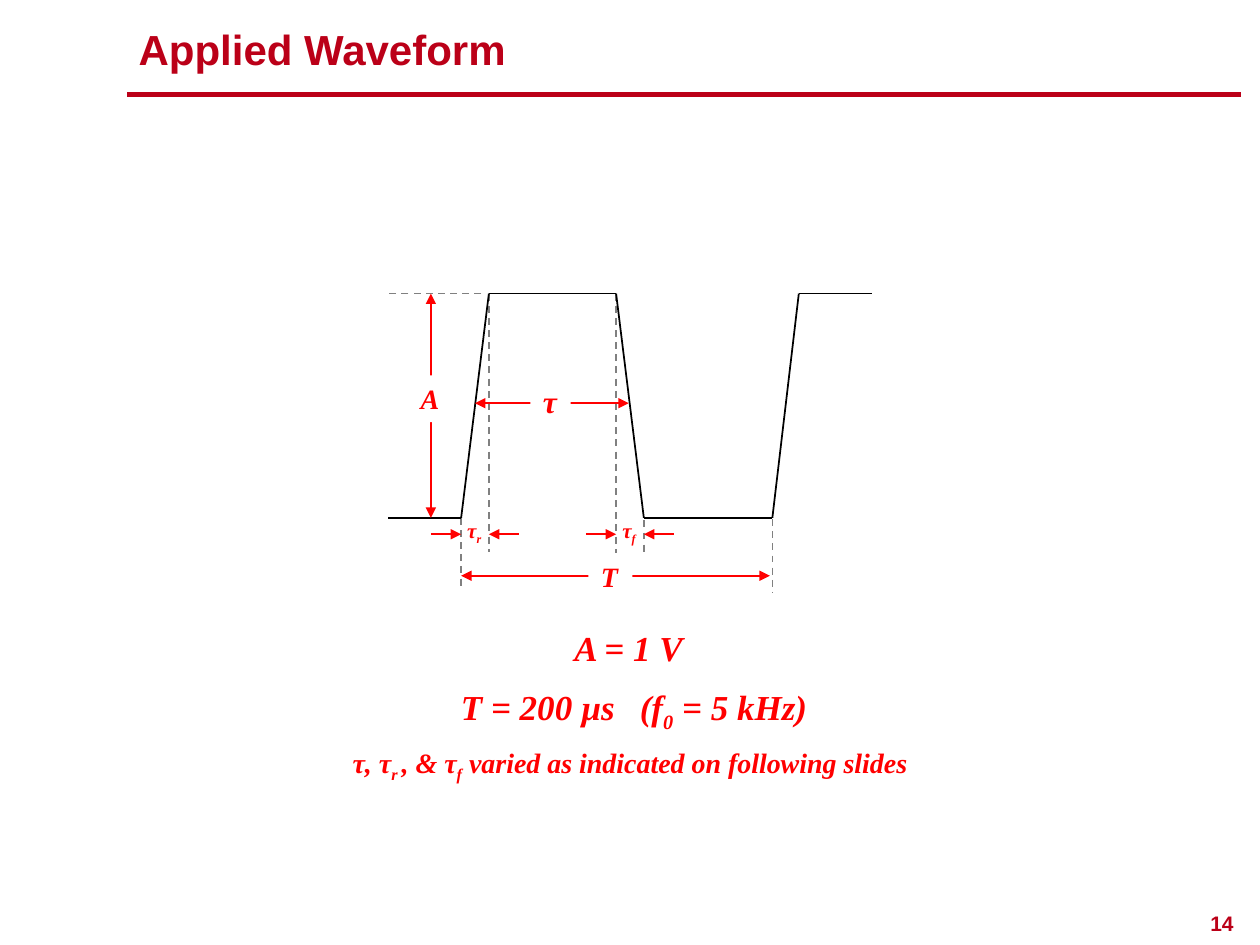
from itertools import pairwise

from lxml.etree import SubElement
from pptx import Presentation
from pptx.dml.color import RGBColor
from pptx.enum.dml import MSO_LINE
from pptx.enum.shapes import MSO_CONNECTOR
from pptx.enum.text import MSO_ANCHOR, MSO_AUTO_SIZE, PP_ALIGN
from pptx.oxml.ns import qn
from pptx.util import Inches, Pt

CRIMSON = RGBColor(0xBB, 0x00, 0x18)
RED = RGBColor(0xFF, 0x00, 0x00)
GRAY = RGBColor(0x80, 0x80, 0x80)
BLACK = RGBColor(0x00, 0x00, 0x00)
WHITE = RGBColor(0xFF, 0xFF, 0xFF)

TITLE_ONLY = 5
TOP, MIDDLE, BASE = 2.33, 3.2, 4.11
EDGE_Y, PERIOD_Y = 4.24, 4.57
RISE_START, RISE_END = 3.66, 3.88
FALL_START, FALL_END = 4.89, 5.11
NEXT_START, NEXT_END = 6.13, 6.34
LEFT, RIGHT = 3.08, 6.92
AMPLITUDE_X = 3.42
STUB = 0.24


class WaveformSlide:
    """Style and drawing methods for the slide; lengths are in inches."""

    heading_font = "Arial"
    math_font = "Times New Roman"

    def __init__(self, prs):
        self.slide = prs.slides.add_slide(prs.slide_layouts[TITLE_ONLY])

    def style_run(self, r, size, font, color, italic):
        r.font.size = Pt(size)
        r.font.name = font
        r.font.bold = True
        r.font.italic = italic
        r.font.color.rgb = color

    def title(self, text, x, y, w, h):
        sp = self.slide.shapes.title
        sp.left, sp.top, sp.width, sp.height = map(Inches, (x, y, w, h))
        tf = sp.text_frame
        tf.text = text
        tf.auto_size = MSO_AUTO_SIZE.NONE
        tf.vertical_anchor = MSO_ANCHOR.MIDDLE
        p = tf.paragraphs[0]
        p.alignment = PP_ALIGN.LEFT
        self.style_run(p.runs[0], 24, self.heading_font, CRIMSON, False)

    def line(self, start, end, color, width=1, dashed=False, heads=()):
        """heads holds any of "headEnd" (at start) and "tailEnd" (at end)."""
        cx = self.slide.shapes.add_connector(
            MSO_CONNECTOR.STRAIGHT, *map(Inches, (*start, *end)))
        cx.line.color.rgb = color
        cx.line.width = Pt(width)
        if dashed:
            cx.line.dash_style = MSO_LINE.DASH
        ln = cx.line._get_or_add_ln()
        for head in heads:
            SubElement(ln, qn(f"a:{head}"), type="triangle")
        SubElement(cx._element.spPr, qn("a:effectLst"))

    def guide(self, start, end):
        self.line(start, end, GRAY, dashed=True)

    def dimension(self, start, end, heads=("headEnd", "tailEnd")):
        self.line(start, end, RED, heads=heads)

    def text(self, parts, x, y, w, h, size, align=PP_ALIGN.LEFT, font=math_font,
             color=RED, italic=True, fill=None, spacing=None):
        """Every second item of parts is a subscript."""
        sp = self.slide.shapes.add_textbox(*map(Inches, (x, y, w, h)))
        if fill is not None:
            sp.fill.solid()
            sp.fill.fore_color.rgb = fill
        tf = sp.text_frame
        tf.word_wrap = False
        tf.auto_size = MSO_AUTO_SIZE.SHAPE_TO_FIT_TEXT
        p = tf.paragraphs[0]
        p.alignment = align
        if spacing:
            p.line_spacing = spacing
        for i, part in enumerate(parts):
            r = p.add_run()
            r.text = part
            self.style_run(r, size, font, color, italic)
            if i % 2:
                r.font._element.set("baseline", "-25000")


def main():
    prs = Presentation()
    prs.slide_width, prs.slide_height = Inches(10), Inches(7.5)
    s = WaveformSlide(prs)

    s.title("Applied Waveform", 1, 0.17, 7.93, 0.44)
    s.line((1.01, 0.75), (9.85, 0.75), CRIMSON, width=3)
    s.text(["14"], 9.48, 7.2, 0.41, 0.28, 12, PP_ALIGN.RIGHT,
           s.heading_font, CRIMSON, italic=False, spacing=0.9)

    for x, top, bottom in [(RISE_START, BASE, 4.68), (RISE_END, TOP, 4.38),
                           (FALL_START, TOP, 4.39), (FALL_END, 4.13, 4.4),
                           (NEXT_START, 4.12, 4.7)]:
        s.guide((x, top), (x, bottom))
    s.guide((3.82, TOP), (3.09, TOP))

    waveform = [(LEFT, BASE), (RISE_START, BASE), (RISE_END, TOP),
                (FALL_START, TOP), (FALL_END, BASE), (NEXT_START, BASE),
                (NEXT_END, TOP), (RIGHT, TOP)]
    for start, end in pairwise(waveform):
        s.line(start, end, BLACK)

    s.dimension((3.77, MIDDLE), (4.99, MIDDLE))
    s.dimension((RISE_START, PERIOD_Y), (6.11, PERIOD_Y))
    s.dimension((AMPLITUDE_X, BASE), (AMPLITUDE_X, TOP))
    for start, end in [(RISE_START, RISE_END), (FALL_START, FALL_END)]:
        s.dimension((start - STUB, EDGE_Y), (start, EDGE_Y), ["tailEnd"])
        s.dimension((end, EDGE_Y), (end + STUB, EDGE_Y), ["headEnd"])

    s.text(["τ"], 4.21, 2.98, 0.32, 0.4, 18, fill=WHITE)
    s.text(["T"], 4.67, 4.39, 0.35, 0.37, 16, fill=WHITE)
    s.text(["A"], 3.24, 2.98, 0.36, 0.37, 16, fill=WHITE)
    s.text(["τ", "r"], 3.61, 4.06, 0.33, 0.3, 12)
    s.text(["τ", "f"], 4.84, 4.06, 0.32, 0.3, 12)

    s.text(["A = 1 V"], 4.46, 4.92, 1.07, 0.44, 20)
    s.text(["T = 200 µs"], 3.56, 5.39, 1.43, 0.44, 20)
    s.text(["(f", "0", " = 5 kHz)"], 4.98, 5.39, 1.6, 0.44, 20)
    s.text(["τ, τ", "r ", ", & τ", "f", " varied as indicated on following slides"],
           2.59, 5.87, 4.82, 0.37, 16, PP_ALIGN.CENTER)

    prs.save("out.pptx")


if __name__ == "__main__":
    main()
